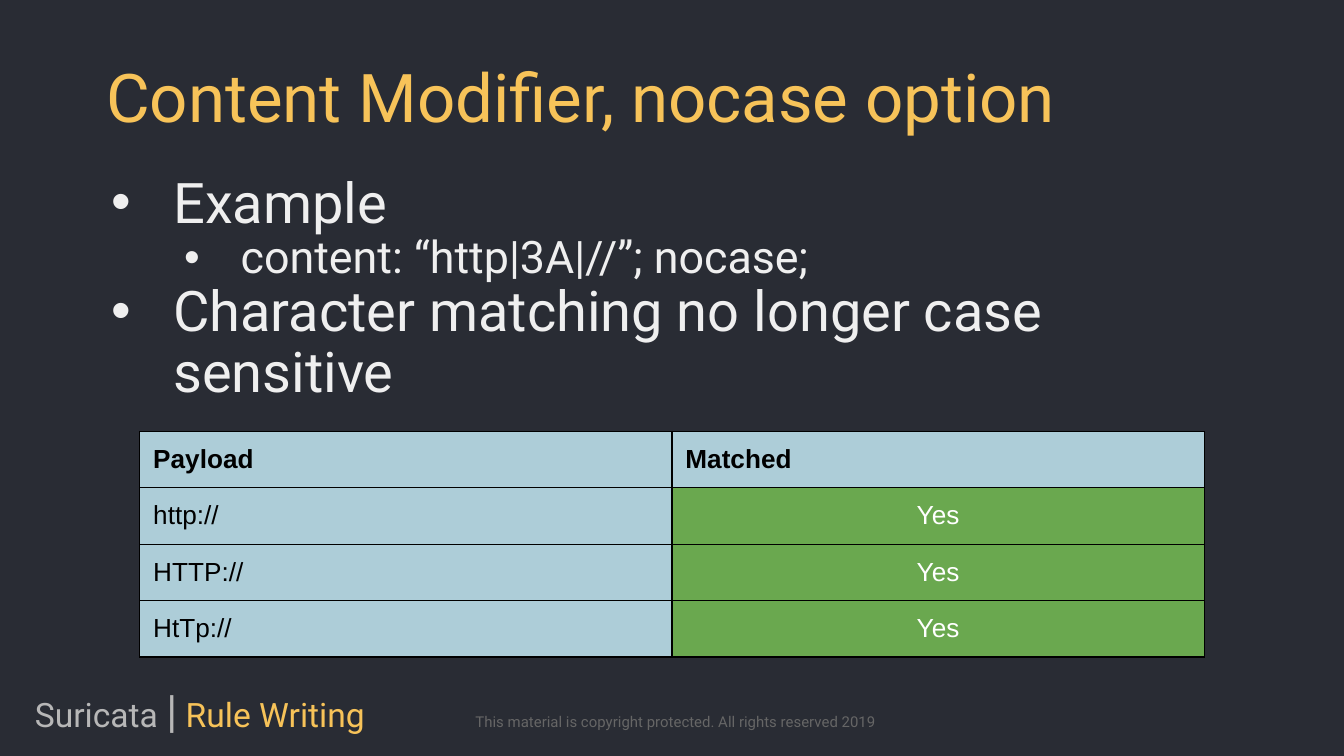
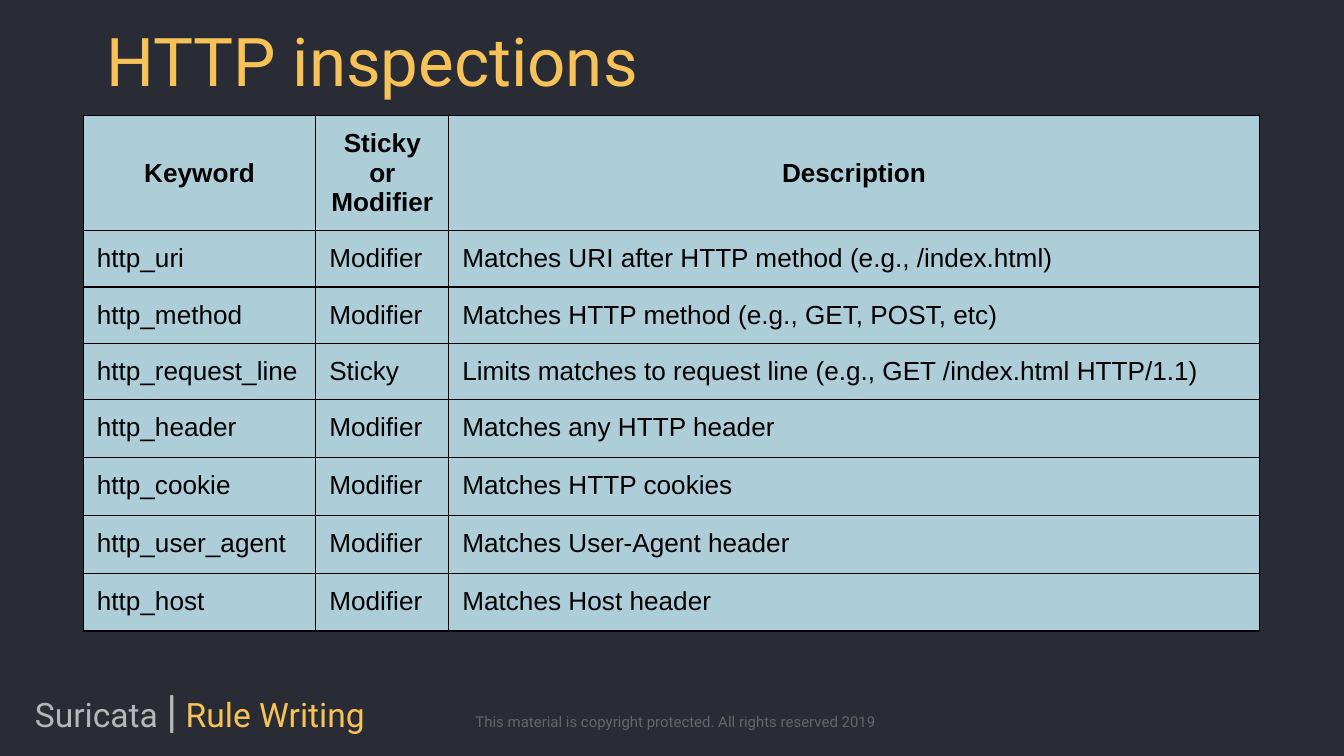
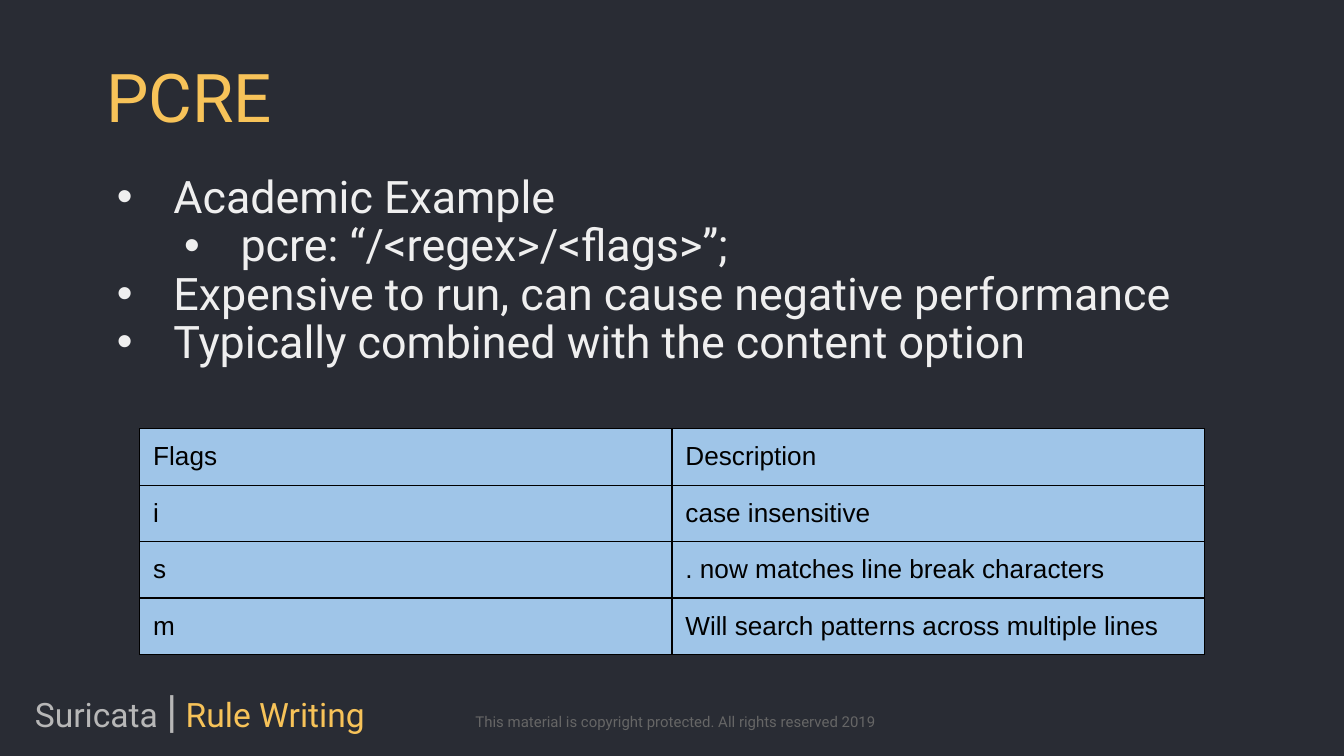
from dataclasses import dataclass

from lxml.etree import SubElement
from pptx import Presentation
from pptx.dml.color import RGBColor as Color
from pptx.enum.text import MSO_ANCHOR as Anchor, MSO_AUTO_SIZE as AutoSize, PP_ALIGN as Align
from pptx.oxml.ns import qn
from pptx.util import Inches, Pt


@dataclass(frozen=True)
class Theme:
    # Colours
    background: str = "292C34"
    accent: str = "F7C359"
    body: str = "EFEFEF"
    course: str = "B7B7B7"
    notice: str = "666666"
    ink: str = "000000"
    white: str = "FFFFFF"
    teal: str = "ADCDD8"
    blue: str = "9FC5E8"
    green: str = "6AA84F"
    # Fonts and type sizes
    font: str = "Roboto"
    table_font: str = "Arial"
    title_size: int = 36
    large_size: int = 30
    list_size: int = 24
    course_size: int = 18
    cell_size: int = 14
    notice_size: int = 8
    # Spacing
    line_spacing: float = 0.9
    inset: float = 0.1
    border: float = 0.75


class Deck:
    TITLE_AND_BODY, TITLE_ONLY = 1, 5

    def __init__(self, theme):
        self.theme = theme
        self.presentation = Presentation()
        # Widescreen, 16 to 9
        self.presentation.slide_width = Inches(10)
        self.presentation.slide_height = Inches(10) * 9 // 16
        self.master = self.presentation.slide_master
        fill = self.master.background.fill
        fill.solid()
        fill.fore_color.rgb = Color.from_string(theme.background)
        self.slide = None

    def add_slide(self, layout, title, title_bottom_inset=None):
        layouts = self.presentation.slide_layouts
        self.slide = self.presentation.slides.add_slide(layouts[layout])
        if len(self.presentation.slides) == 1:
            self.add_footers()
        shape = self.slide.shapes.title
        text_frame = self.place(shape, 0.69, 0.34, 8.62, 0.82)
        text_frame.vertical_anchor = Anchor.MIDDLE
        if title_bottom_inset:
            text_frame.margin_bottom = Inches(title_bottom_inset)
        text_frame.text = title
        paragraph = text_frame.paragraphs[0]
        paragraph.alignment = Align.LEFT
        paragraph.line_spacing = self.theme.line_spacing
        self.style(paragraph.runs[0], self.theme.title_size, self.theme.accent)

    def place(self, shape, left, top, width, height, inset_x=None, inset_y=None):
        shape.left, shape.top = Inches(left), Inches(top)
        shape.width, shape.height = Inches(width), Inches(height)
        text_frame = shape.text_frame
        text_frame.word_wrap = True
        text_frame.auto_size = AutoSize.NONE
        text_frame.margin_left = text_frame.margin_right = Inches(inset_x or self.theme.inset)
        text_frame.margin_top = text_frame.margin_bottom = Inches(inset_y or self.theme.inset)
        return text_frame

    def style(self, run, size, color, font=None, bold=False):
        run.font.name = font or self.theme.font
        run.font.size = Pt(size)
        run.font.bold = bold
        run.font.color.rgb = Color.from_string(color)

    def add_footers(self):
        """Put the course name and copyright notice on the master."""
        theme = self.theme
        self.add_master_text(
            (0.19, 5.04, 4.26, 0.43, 0.07, 0.04),
            [("Suricata ", theme.course_size, theme.course),
             ("|", theme.list_size, theme.course),
             (" ", theme.course_size, theme.course),
             ("Rule Writing", theme.course_size, theme.accent)])
        self.add_master_text(
            (3.38, 5.2, 3.24, 0.27),
            [("This material is copyright protected. All rights reserved 2019",
              theme.notice_size, theme.notice)], Align.RIGHT)

    def add_master_text(self, box, runs, alignment=Align.LEFT):
        shape = self.slide.shapes.add_textbox(0, 0, 0, 0)
        paragraph = self.place(shape, *box).paragraphs[0]
        paragraph.alignment = alignment
        for text, size, color in runs:
            run = paragraph.add_run()
            run.text = text
            self.style(run, size, color)
        next_id = max(other.shape_id for other in self.master.shapes) + 1
        shape.element.xpath(".//p:cNvPr")[0].set("id", str(next_id))
        self.master.shapes.element.append(shape.element)

    def add_list(self, items):
        """Add bulleted items given as (level, size, text)."""
        text_frame = self.place(self.slide.placeholders[1], 0.69, 1.2, 8.62, 2.93)
        text_frame.text = "\n".join(text for _, _, text in items)
        for paragraph, (level, size, _) in zip(text_frame.paragraphs, items):
            self.add_bullet(paragraph, 0.5 * (level + 1), 0.46 if size > self.theme.list_size else 0.42)
            paragraph.level = level
            paragraph.alignment = Align.LEFT
            paragraph.line_spacing = self.theme.line_spacing
            paragraph.space_before = Pt(0)
            self.style(paragraph.runs[0], size, self.theme.body)

    def add_bullet(self, paragraph, margin, hanging):
        properties = paragraph._p.get_or_add_pPr()
        properties.set("marL", str(Inches(margin)))
        properties.set("indent", str(-Inches(hanging)))
        color = SubElement(properties, qn("a:buClr"))
        SubElement(color, qn("a:srgbClr"), val=self.theme.body)
        SubElement(properties, qn("a:buChar"), char="•")

    def add_table(self, left, top, widths, heights, rows, fill, bold_header=True,
                  centred_header=False, highlight=None):
        """Add a table; cells whose text equals highlight turn green."""
        theme = self.theme
        table = self.slide.shapes.add_table(
            len(rows), len(widths), Inches(left), Inches(top),
            Inches(sum(widths)), Inches(sum(heights))).table
        table.first_row = table.horz_banding = False
        for column, width in zip(table.columns, widths):
            column.width = Inches(width)
        for row_index, (row, height) in enumerate(zip(rows, heights)):
            table.rows[row_index].height = Inches(height)
            header = row_index == 0
            for column_index, text in enumerate(row):
                cell = table.cell(row_index, column_index)
                marked = text == highlight
                centred = marked or (header and centred_header)
                self.fill_cell(cell, text, theme.green if marked else fill,
                               theme.white if marked else theme.ink,
                               header and bold_header, centred)
                if header and centred_header:
                    cell.vertical_anchor = Anchor.MIDDLE

    def fill_cell(self, cell, text, fill, color, bold, centred):
        theme = self.theme
        cell.margin_left = cell.margin_right = Inches(theme.inset)
        cell.margin_top = cell.margin_bottom = Inches(theme.inset)
        cell.text_frame.text = text
        paragraph = cell.text_frame.paragraphs[0]
        paragraph.alignment = Align.CENTER if centred else Align.LEFT
        self.style(paragraph.runs[0], theme.cell_size, color, theme.table_font, bold)
        # Borders come before the fill in the cell properties
        properties = cell._tc.get_or_add_tcPr()
        for side in ("a:lnL", "a:lnR", "a:lnT", "a:lnB"):
            line = SubElement(properties, qn(side), w=str(Pt(theme.border)))
            solid = SubElement(line, qn("a:solidFill"))
            SubElement(solid, qn("a:srgbClr"), val=theme.ink)
        cell.fill.solid()
        cell.fill.fore_color.rgb = Color.from_string(fill)


def main():
    theme = Theme()
    deck = Deck(theme)
    half_widths, even_rows = [3.96] * 2, [0.42] * 4

    # The nocase option
    deck.add_slide(Deck.TITLE_AND_BODY, "Content Modifier, nocase option")
    deck.add_list([
        (0, theme.large_size, "Example"),
        (1, theme.list_size, "content: “http|3A|//”; nocase;"),
        (0, theme.large_size, "Character matching no longer case sensitive"),
    ])
    payloads = ["http://", "HTTP://", "HtTp://"]
    deck.add_table(1.04, 3.21, half_widths, even_rows,
                   [("Payload", "Matched")] + [(payload, "Yes") for payload in payloads],
                   theme.teal, highlight="Yes")

    # HTTP keywords, with the title raised above the tall table
    deck.add_slide(Deck.TITLE_ONLY, "HTTP inspections", title_bottom_inset=0.64)
    deck.add_table(0.62, 0.86, [1.73, 0.99, 6.03], even_rows + [0.43] * 4, [
        ("Keyword", "Sticky or Modifier", "Description"),
        ("http_uri", "Modifier", "Matches URI after HTTP method (e.g., /index.html)"),
        ("http_method", "Modifier", "Matches HTTP method (e.g., GET, POST, etc)"),
        ("http_request_line", "Sticky",
         "Limits matches to request line (e.g., GET /index.html HTTP/1.1)"),
        ("http_header", "Modifier", "Matches any HTTP header"),
        ("http_cookie", "Modifier", "Matches HTTP cookies"),
        ("http_user_agent", "Modifier", "Matches User-Agent header"),
        ("http_host", "Modifier", "Matches Host header"),
    ], theme.teal, centred_header=True)

    # Regular expressions
    deck.add_slide(Deck.TITLE_AND_BODY, "PCRE")
    deck.add_list([
        (0, theme.list_size, "Academic Example"),
        (1, theme.list_size, "pcre: “/<regex>/<flags>”;"),
        (0, theme.list_size, "Expensive to run, can cause negative performance"),
        (0, theme.list_size, "Typically combined with the content option"),
    ])
    deck.add_table(1.04, 3.19, half_widths, even_rows, [
        ("Flags", "Description"),
        ("i", "case insensitive"),
        ("s", ". now matches line break characters"),
        ("m", "Will search patterns across multiple lines"),
    ], theme.blue, bold_header=False)

    deck.presentation.save("out.pptx")


if __name__ == "__main__":
    main()
